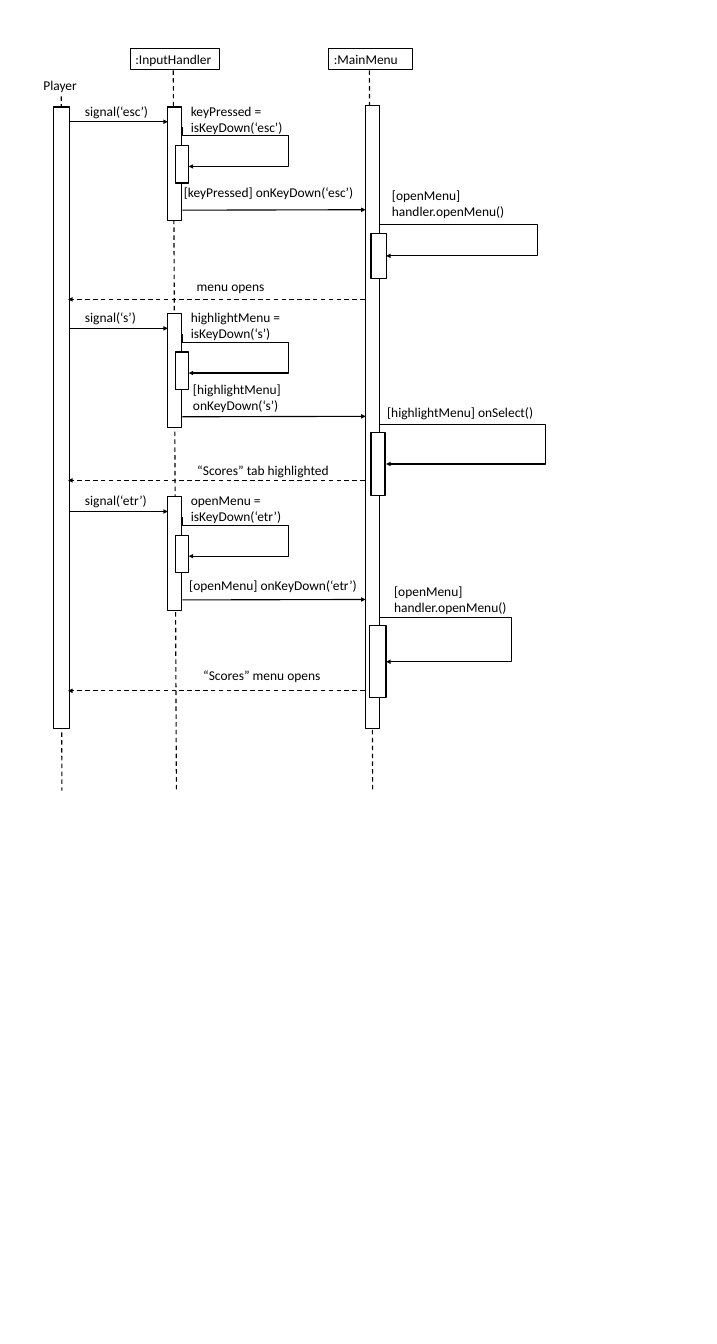
from pptx import Presentation
from pptx import util as u
from pptx.dml.color import RGBColor
from pptx.enum import dml, shapes, text
from pptx.oxml import ns
from lxml import etree

INK = "000000"
PAPER = "FFFFFF"
ROW = 28.8
TWO_ROWS = 51.1
LOOP_DROP = 11
LOOP_END = 8.6

deck = Presentation()
deck.slide_width, deck.slide_height = u.Pt(960), u.Pt(1800)
page = deck.slides.add_slide(deck.slide_layouts[6])


def add_box(left, top, width, height, words="", framed=True):
    """Add a framed rectangle or a plain label, with optional words."""
    place = [u.Pt(value) for value in (left, top, width, height)]
    if framed:
        box = page.shapes.add_shape(shapes.MSO_SHAPE.RECTANGLE, *place)
        box.shadow.inherit = False
        box.fill.solid()
        box.fill.fore_color.rgb = RGBColor.from_string(PAPER)
        box.line.color.rgb = RGBColor.from_string(INK)
        box.line.width = u.Pt(1.5)
    else:
        box = page.shapes.add_textbox(*place)
    if words:
        frame = box.text_frame
        frame.word_wrap = True
        frame.auto_size = text.MSO_AUTO_SIZE.SHAPE_TO_FIT_TEXT
        para = frame.paragraphs[0]
        para.alignment = text.PP_ALIGN.LEFT
        span = para.add_run()
        span.text = words
        span.font.name = "Calibri"
        span.font.size = u.Pt(18)
        span.font.color.rgb = RGBColor.from_string(INK)


def add_line(x1, y1, x2, y2, dashed=False, arrow=True, reach=None):
    """Add a straight line, or a self call that loops out to x = reach."""
    kind = shapes.MSO_CONNECTOR.STRAIGHT
    ends = (x1, y1, x2, y2)
    if reach:
        # The loop is laid out lying down, then turned about its centre.
        kind = shapes.MSO_CONNECTOR.ELBOW
        across, down = (x2 - x1) / 2, (y2 - y1) / 2
        x, y = x1 + across, y1 + down
        ends = (x + down, y - across, x - down, y + across)
    line = page.shapes.add_connector(kind, *[u.Pt(value) for value in ends])
    line.line.color.rgb = RGBColor.from_string(INK)
    line.line.width = u.Pt(1.5)
    if dashed:
        line.line.dash_style = dml.MSO_LINE.DASH
    props = line._element.spPr
    if arrow:
        etree.SubElement(line.line._get_or_add_ln(), ns.qn("a:tailEnd"), type="triangle")
    etree.SubElement(props, ns.qn("a:effectLst"))
    if reach:
        props.find(ns.qn("a:xfrm")).set("rot", str(270 * 60000))
        shape = props.find(ns.qn("a:prstGeom"))
        shape.set("prst", "bentConnector4")
        guides = shape.find(ns.qn("a:avLst"))
        if guides is None:
            guides = etree.SubElement(shape, ns.qn("a:avLst"))
        ratios = (LOOP_DROP / (y2 - y1), (reach - x1) / (x2 - x1))
        for number, ratio in enumerate(ratios, 1):
            etree.SubElement(guides, ns.qn("a:gd"), name=f"adj{number}",
                             fmla=f"val {round(ratio * 100000)}")


# Lifelines, participants and the two long activation bars
for x1, top, x2 in [(82, 129, 82.8), (232, 94.3, 236.2), (494.6, 94.3, 499)]:
    add_line(x1, top, x2, 1059, dashed=True, arrow=False)
add_box(51, 100, 62.6, ROW, "Player", framed=False)
add_box(174.2, 64.8, 120.2, ROW, ":InputHandler")
add_box(440, 64.8, 112.3, ROW, ":MainMenu")
add_box(72, 143.3, 20.9, 832.3)
add_box(489.6, 141.8, 18.7, 833.8)

# Each key press: top, key, variable, left and top and height of the guarded call
key_presses = [
    (143.3, "esc", "keyPressed", 239, 243.4, ROW),
    (420, "s", "highlightMenu", 251.3, 506.9, TWO_ROWS),
    (665.3, "etr", "openMenu", 246.2, 769, ROW),
]
for top, key, variable, call_left, call_top, call_height in key_presses:
    add_box(224.8, top, 18.7, 152.6)
    add_box(106.6, top - 9.4, 100, ROW, f"signal(‘{key}’)", framed=False)
    add_line(91.8, top + 19.8, 224.8, top + 19.8)
    add_box(248.4, top - 9.4, 213.8, TWO_ROWS,
            f"{variable} = isKeyDown(‘{key}’)", framed=False)
    add_line(244.1, top + 27.4, 244.1 + LOOP_END, top + 79.6, reach=386.3)
    add_box(235, top + 51.4, 18, 50.4)
    add_box(call_left, call_top, 242.6, call_height,
            f"[{variable}] onKeyDown(‘{key}’)", framed=False)
    add_line(244.1, top + 138.2, 489.6, top + 137.6)

# Menu self calls: label, label place, loop top and bottom and reach, nested bar
open_call = "[openMenu] handler.openMenu()"
self_calls = [
    (open_call, (517.7, 247, 213.8, TWO_ROWS), (290.2, 342.7, 720),
     (496.8, 312.5, 20.2, 60.5)),
    ("[highlightMenu] onSelect()", (511.2, 537.1, 260.6, ROW), (557.3, 621.4, 730.1),
     (496.8, 579.6, 18.7, 83.5)),
    (open_call, (520.6, 776.9, 213.8, TWO_ROWS), (815.8, 886.3, 684.7),
     (494.6, 838.1, 22.3, 95.8)),
]
for words, label, (top, bottom, reach), bar in self_calls:
    add_box(*label, words, framed=False)
    add_line(508.3, top, 508.3 + LOOP_END, bottom, reach=reach)
    add_box(*bar)

# Replies to the player: label, left, top, width, line height on the page
replies = [
    ("menu opens", 256.3, 368.6, 105.8, 401),
    ("“Scores” tab highlighted", 257, 614.9, 215.3, 643.3),
    ("“Scores” menu opens", 265, 890, 192.2, 925.2),
]
for words, left, top, width, y in replies:
    add_line(488.2, y, 91.2, y, dashed=True)
    add_box(left, top, width, ROW, words, framed=False)

deck.save("out.pptx")
